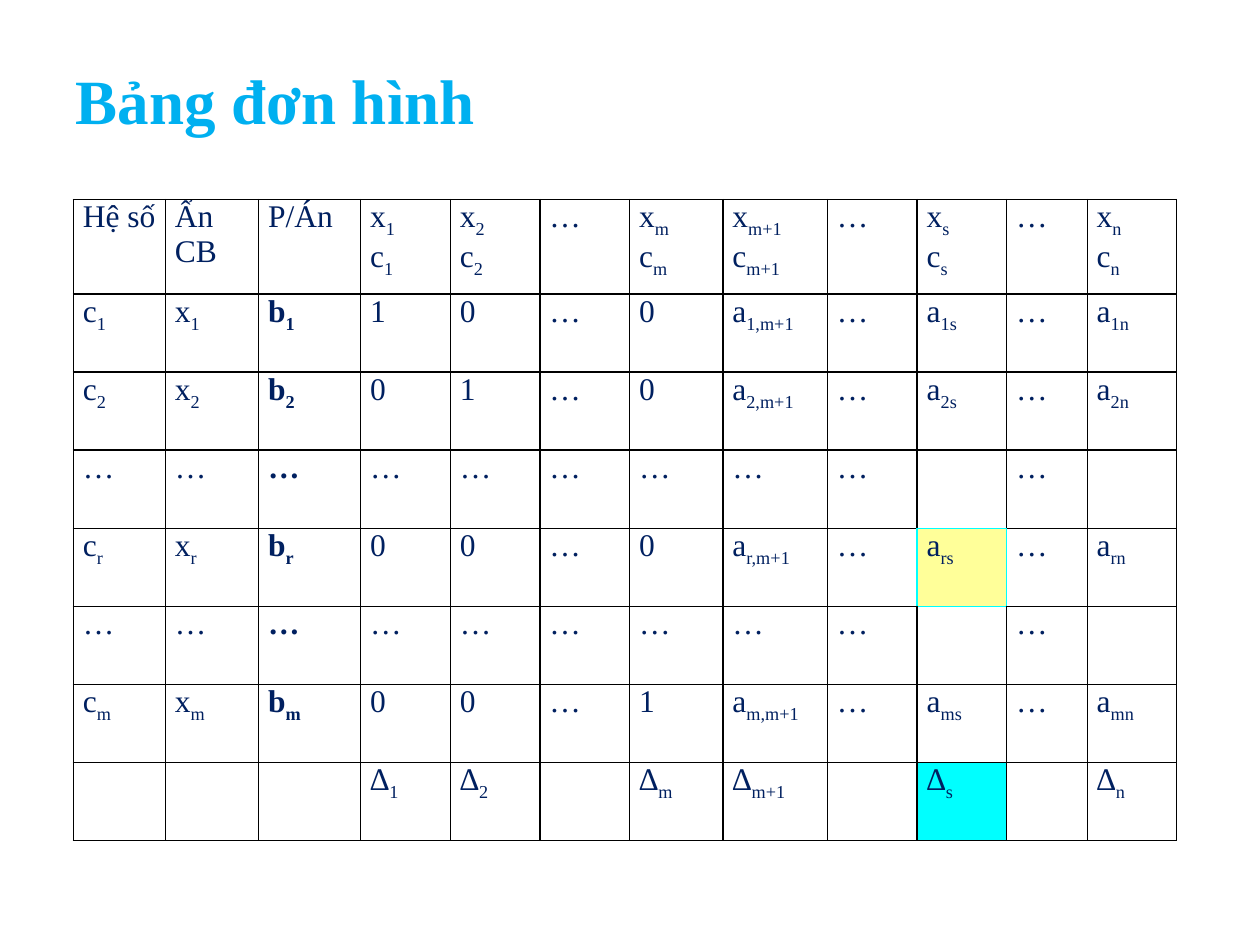
"""Build a slide showing the general simplex tableau."""
from dataclasses import dataclass

import pptx
import pptx.dml.color
import pptx.enum.text
import pptx.oxml
import pptx.oxml.ns
import pptx.util

COLORS = {"title": "00B0F0", "text": "002060", "line": "000000",
          "accent": "00FFFF", "pivot": "FFFF99"}
FONT = "Times New Roman"
UNIT = pptx.util.Inches(0.1)
PAGE_COLUMNS, PAGE_ROWS = 100, 75
TABLE_LEFT, TABLE_TOP = 5.83, 15.84
COLUMN_WIDTHS = [7.3, 7.4, 8.1, 7.12, 7.12, 7.12, 7.4, 8.3, 7.12, 7.1, 6.4, 7.1]
HEADER_HEIGHT, ROW_HEIGHT = 7.5, 6.2

DOTS = "…"
BASIS = ["1", "2", DOTS, "m"]
VARIABLES = BASIS + ["m+1", DOTS, "s", DOTS, "n"]
CONSTRAINTS = ["1", "2", DOTS, "r", DOTS, "m"]
LABEL_COLUMNS = 3
SIDES = {"L": (0, -1), "R": (0, 1), "T": (-1, 0), "B": (1, 0)}
PIVOT = (CONSTRAINTS.index("r") + 1, VARIABLES.index("s") + LABEL_COLUMNS)
FILLS = {PIVOT: "pivot", (len(CONSTRAINTS) + 1, PIVOT[1]): "accent"}


@dataclass
class Entry:
    """A tableau cell; an underscore in a line starts its subscript."""
    lines: list[str]
    bold: bool = False


def grid(count: float) -> int:
    """Convert grid units to a slide length."""
    return round(count * UNIT)


def color(name: str) -> pptx.dml.color.RGBColor:
    """Look up a palette color."""
    return pptx.dml.color.RGBColor.from_string(COLORS[name])


def apply(target: object, values: dict) -> None:
    """Set attributes from a dict of format values."""
    for name, value in values.items():
        setattr(target, name, value)


def coefficient(row: str, index: int) -> str:
    """Give the body entry for a constraint and a variable position."""
    column = VARIABLES[index]
    if DOTS in (row, column):
        return "" if column in ("s", "n") else DOTS
    if index < len(BASIS):
        return str(int(row == column))
    return f"a_{row}{',' if column == 'm+1' else ''}{column}"


def tableau() -> list[list[Entry]]:
    """Generate all rows of the simplex tableau."""
    header = [Entry([label]) for label in ("Hệ số", "Ẩn CB", "P/Án")]
    header += [Entry([DOTS] if v == DOTS else [f"x_{v}", f"c_{v}"]) for v in VARIABLES]
    rows = [header]
    for row in CONSTRAINTS:
        labels = [Entry([DOTS if row == DOTS else f"{letter}_{row}"], letter == "b")
                  for letter in "cxb"]
        rows.append(labels + [Entry([coefficient(row, i)]) for i in range(len(VARIABLES))])
    deltas = [Entry([""]) for _ in range(LABEL_COLUMNS)]
    rows.append(deltas + [Entry(["" if v == DOTS else f"∆_{v}"]) for v in VARIABLES])
    return rows


def write_span(para, text: str, size: int, tone: str, bold: bool):
    """Add a formatted run to a paragraph."""
    span = para.add_run()
    span.text = text
    apply(span.font, {"name": FONT, "size": pptx.util.Pt(size), "bold": bold})
    span.font.color.rgb = color(tone)
    return span


def write_entry(cell, entry: Entry) -> None:
    """Write the lines of an entry into a table cell."""
    margin = pptx.util.Pt(5.4)
    apply(cell, {"margin_left": margin, "margin_right": margin,
                 "margin_top": 0, "margin_bottom": 0})
    for number, line in enumerate(entry.lines):
        para = cell.text_frame.add_paragraph() if number else cell.text_frame.paragraphs[0]
        para.alignment = pptx.enum.text.PP_ALIGN.JUSTIFY
        base, _, subscript = line.partition("_")
        if base:
            write_span(para, base, 18, "text", entry.bold)
        if subscript:
            span = write_span(para, subscript, 18, "text", entry.bold)
            span._r.get_or_add_rPr().set("baseline", "-25000")


def draw_borders(cell, row: int, column: int) -> None:
    """Outline a cell, with the accent color on every edge of the pivot."""
    for side, (down, right) in SIDES.items():
        touching = PIVOT in ((row, column), (row + down, column + right))
        tone = COLORS["accent" if touching else "line"]
        cell._tc.get_or_add_tcPr().append(pptx.oxml.parse_xml(
            f'<a:ln{side} {pptx.oxml.ns.nsdecls("a")} w="12700"><a:solidFill>'
            f'<a:srgbClr val="{tone}"/></a:solidFill></a:ln{side}>'))


def draw_table(page) -> None:
    """Draw the tableau as a table."""
    rows = tableau()
    heights = [HEADER_HEIGHT] + [ROW_HEIGHT] * (len(rows) - 1)
    table = page.shapes.add_table(
        len(rows), len(COLUMN_WIDTHS), grid(TABLE_LEFT), grid(TABLE_TOP),
        grid(sum(COLUMN_WIDTHS)), grid(sum(heights))).table
    apply(table, {"first_row": False, "horz_banding": False})
    for column, width in zip(table.columns, COLUMN_WIDTHS):
        column.width = grid(width)
    for r, (entries, height) in enumerate(zip(rows, heights)):
        table.rows[r].height = grid(height)
        for c, entry in enumerate(entries):
            cell = table.cell(r, c)
            write_entry(cell, entry)
            draw_borders(cell, r, c)
            if (r, c) in FILLS:
                cell.fill.solid()
                cell.fill.fore_color.rgb = color(FILLS[r, c])
            else:
                cell.fill.background()


def draw_title(page) -> None:
    """Place and write the slide title."""
    box = page.shapes.title
    apply(box, {"left": grid(5), "top": grid(4.15), "width": grid(90), "height": grid(7.5)})
    box.text_frame.vertical_anchor = pptx.enum.text.MSO_ANCHOR.MIDDLE
    para = box.text_frame.paragraphs[0]
    para.alignment = pptx.enum.text.PP_ALIGN.LEFT
    write_span(para, "Bảng đơn hình", 36, "title", True)


def main() -> None:
    """Build and save the deck."""
    deck = pptx.Presentation()
    apply(deck, {"slide_width": grid(PAGE_COLUMNS), "slide_height": grid(PAGE_ROWS)})
    page = deck.slides.add_slide(deck.slide_layouts.get_by_name("Title Only"))
    draw_title(page)
    draw_table(page)
    deck.save("out.pptx")


if __name__ == "__main__":
    main()
